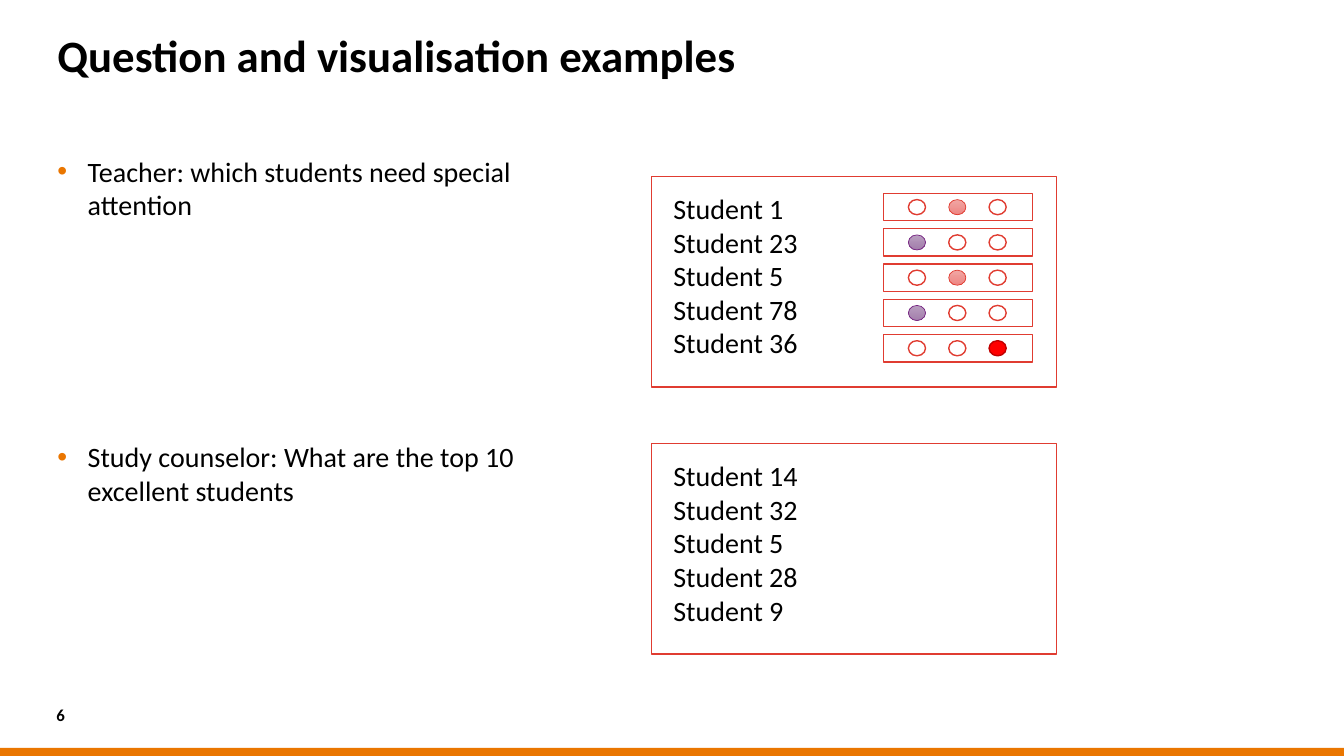
import pptx
import pptx.dml.color
import pptx.enum.shapes
import pptx.enum.text
import pptx.oxml
import pptx.oxml.ns
import pptx.util

Inches = pptx.util.Inches
Pt = pptx.util.Pt
SHAPES = pptx.enum.shapes.MSO_SHAPE
ANCHOR = pptx.enum.text.MSO_ANCHOR
AUTO_SIZE = pptx.enum.text.MSO_AUTO_SIZE

COLORS = {
    "white": "FFFFFF",
    "black": "000000",
    "orange": "EA7600",
    "red line": "E03C31",
    "light red": "F0A7A4",
    "mid red": "EE8582",
    "light purple": "B99FC0",
    "mid purple": "A37EAB",
    "purple line": "772583",
    "alert": "FF0000",
    "alert line": "C00000",
}

# Lamp state: fill colours from top to bottom, line colour, line width
LAMPS = {
    "off": (["white"], "red line", 1),
    "low": (["light purple", "mid purple"], "purple line", 0.5),
    "medium": (["light red", "mid red"], "red line", 0.5),
    "high": (["alert"], "alert line", 1),
}
LEVELS = ["low", "medium", "high"]


def color(name):
    return pptx.dml.color.RGBColor.from_string(COLORS[name])


def write_text(frame, paragraphs, size=20, bold=False, margins=(0, 0, 0, 0),
               anchor=ANCHOR.TOP, wrap=True, auto_size=AUTO_SIZE.NONE, line_spacing=None):
    """Fill a text frame, one paragraph for each string."""
    frame.auto_size = auto_size
    frame.word_wrap = wrap
    frame.vertical_anchor = anchor
    (frame.margin_left, frame.margin_top,
     frame.margin_right, frame.margin_bottom) = [Inches(margin) for margin in margins]
    for index, text in enumerate(paragraphs):
        paragraph = frame.add_paragraph() if index else frame.paragraphs[0]
        paragraph.alignment = pptx.enum.text.PP_ALIGN.LEFT
        paragraph.line_spacing = line_spacing
        run = paragraph.add_run()
        run.text = text
        run.font.name = "Calibri"
        run.font.size = Pt(size)
        run.font.bold = bold
        run.font.color.rgb = color("black")


def add_text_box(slide, left, top, width, height, paragraphs, **text_format):
    box = slide.shapes.add_textbox(Inches(left), Inches(top), Inches(width), Inches(height))
    write_text(box.text_frame, paragraphs, **text_format)
    return box


def add_figure(slide, kind, left, top, width, height, fills=("white",),
               line="red line", line_width=1):
    shape = slide.shapes.add_shape(kind, Inches(left), Inches(top), Inches(width), Inches(height))
    shape.shadow.inherit = False
    if len(fills) == 1:
        shape.fill.solid()
        shape.fill.fore_color.rgb = color(fills[0])
    else:
        shape.fill.gradient()
        shape.fill.gradient_angle = 270
        for stop, name in zip(shape.fill.gradient_stops, fills):
            stop.color.rgb = color(name)
    if line:
        shape.line.color.rgb = color(line)
        shape.line.width = Pt(line_width)
    else:
        shape.line.fill.background()
    return shape


def add_bullet(paragraph):
    """Give a paragraph an orange bullet with a hanging indent."""
    properties = paragraph._p.get_or_add_pPr()
    properties.set("marL", str(Inches(0.3)))
    properties.set("indent", str(Inches(-0.3)))
    namespace = pptx.oxml.ns.nsdecls("a")
    for xml in (
        f'<a:buClr {namespace}><a:srgbClr val="{COLORS["orange"]}"/></a:buClr>',
        f'<a:buFont {namespace} typeface="Arial"/>',
        f'<a:buChar {namespace} char="•"/>',
    ):
        properties.append(pptx.oxml.parse_xml(xml))


def add_title(slide, left, top, width, height, text):
    title = slide.shapes.title
    title.left, title.top = Inches(left), Inches(top)
    title.width, title.height = Inches(width), Inches(height)
    write_text(title.text_frame, [text], size=32, bold=True,
               margins=(0, 0.08, 0, 0), line_spacing=0.8)


def add_questions(slide, left, top, width, height, questions, gap):
    """Bulleted questions, spaced to stand beside their panels."""
    box = add_text_box(slide, left, top, width, height, questions)
    for index, paragraph in enumerate(box.text_frame.paragraphs):
        paragraph.space_before = Pt(gap if index else 6)
        paragraph.space_after = Pt(6)
        add_bullet(paragraph)


def add_student_panel(slide, left, top, width, height, students):
    add_figure(slide, SHAPES.RECTANGLE, left, top, width, height)
    add_text_box(slide, left + 0.12, top + 0.1, 1.45, 1.78, students,
                 margins=(0.1, 0.05, 0.1, 0.05), wrap=False,
                 auto_size=AUTO_SIZE.SHAPE_TO_FIT_TEXT)


def add_lamp_row(slide, left, top, width, height, lit):
    """A framed row of lamps, of which one is lit."""
    add_figure(slide, SHAPES.RECTANGLE, left, top, width, height)
    for index, level in enumerate(LEVELS):
        fills, line, line_width = LAMPS[level if level == lit else "off"]
        add_figure(slide, SHAPES.OVAL, left + 0.25 + index * 0.4, top + 0.06, 0.17, 0.15,
                   fills, line, line_width)


def add_footer(slide, left, top, width, height, number):
    add_figure(slide, SHAPES.RECTANGLE, left, top, width, height, ["orange"], line=None)
    add_text_box(slide, left + 0.56, top - 0.45, 0.43, 0.24, [number],
                 size=12, bold=True, anchor=ANCHOR.MIDDLE)


def main():
    presentation = pptx.Presentation()
    presentation.slide_width = Inches(13.33)
    presentation.slide_height = Inches(7.5)
    slide = presentation.slides.add_slide(presentation.slide_layouts[5])

    add_footer(slide, 0, 7.42, 13.33, 0.08, "6")
    add_title(slide, 0.57, 0.3, 12.19, 0.66, "Question and visualisation examples")
    add_questions(slide, 0.57, 1.53, 5.38, 4.87, [
        "Teacher: which students need special attention",
        "Study counselor: What are the top 10 excellent students",
    ], gap=150)

    # Students who need attention, each with a row of lamps
    attention = {"Student 1": "medium", "Student 23": "low", "Student 5": "medium",
                 "Student 78": "low", "Student 36": "high"}
    add_student_panel(slide, 6.46, 1.75, 4.02, 2.09, list(attention))
    for index, level in enumerate(attention.values()):
        add_lamp_row(slide, 8.76, 1.92 + index * 0.35, 1.48, 0.27, level)

    # Excellent students
    add_student_panel(slide, 6.46, 4.4, 4.02, 2.09, [
        "Student 14", "Student 32", "Student 5", "Student 28", "Student 9"])

    presentation.save("out.pptx")


if __name__ == "__main__":
    main()
